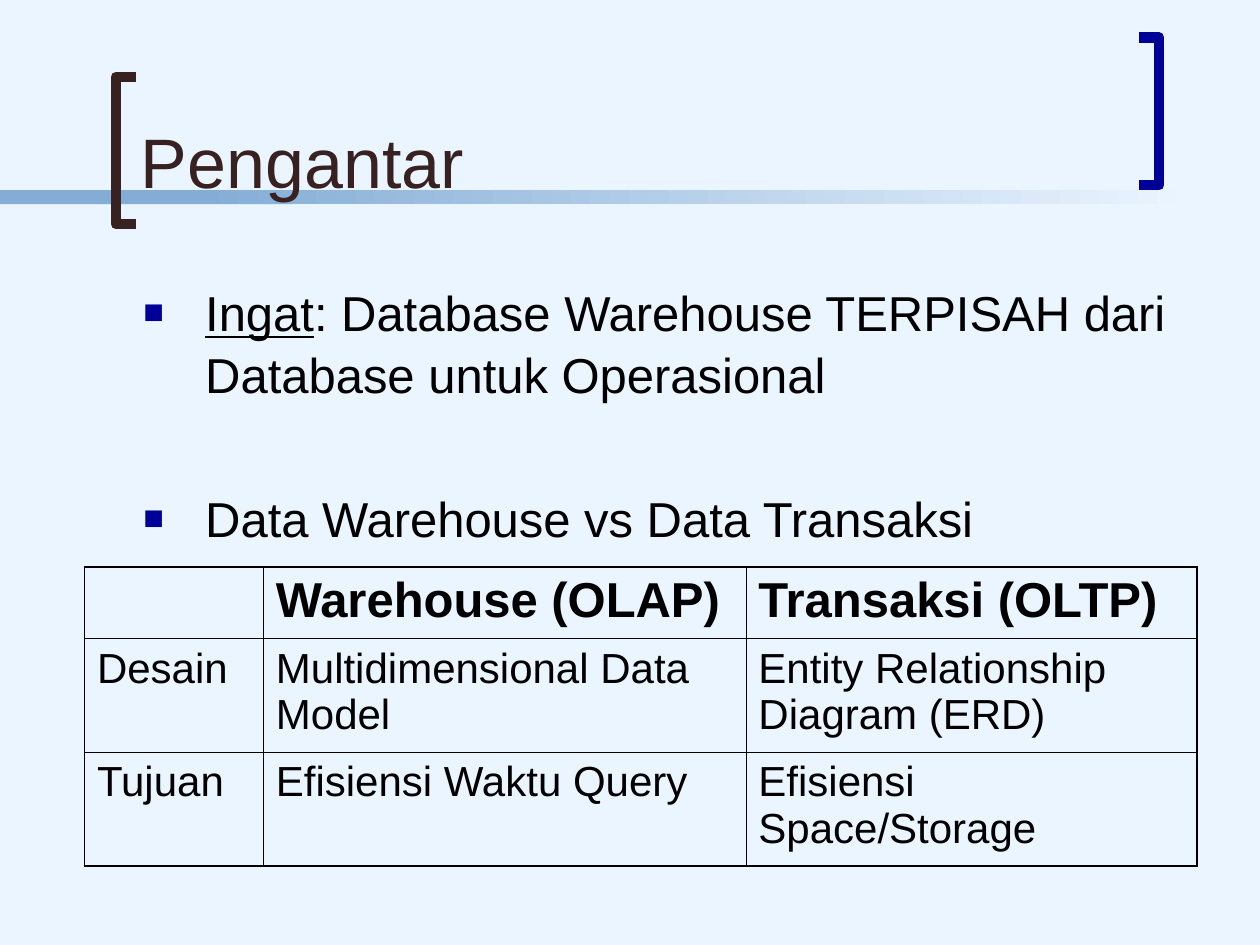
import dataclasses

import pptx
import pptx.dml.color
import pptx.enum.dml
import pptx.enum.shapes
import pptx.enum.text
import pptx.oxml
import pptx.oxml.ns
import pptx.util
from pptx.util import Inches

BACKGROUND = pptx.dml.color.RGBColor(0xEB, 0xF5, 0xFF)
BAND = pptx.dml.color.RGBColor(0x84, 0xAD, 0xD6)
BROWN = pptx.dml.color.RGBColor(0x37, 0x22, 0x21)
NAVY = pptx.dml.color.RGBColor(0x00, 0x00, 0x99)
BLACK = pptx.dml.color.RGBColor(0x00, 0x00, 0x00)
FONT = "Arial"
OUTER_BORDER = 1.08
INNER_BORDER = 0.45


@dataclasses.dataclass(frozen=True)
class Run:
    text: str
    size: float
    color: pptx.dml.color.RGBColor = BLACK
    bold: bool = False
    underline: bool = False


@dataclasses.dataclass(frozen=True)
class Bracket:
    tip: float
    spine: float
    top: float
    color: pptx.dml.color.RGBColor
    height: float = 1.17


@dataclasses.dataclass(frozen=True)
class Bullet:
    runs: tuple[Run, ...]
    space_before: float


BRACKETS = (
    Bracket(tip=1.08, spine=0.92, top=0.61, color=BROWN),
    Bracket(tip=9.04, spine=9.2, top=0.3, color=NAVY),
)
BULLETS = (
    Bullet(
        (
            Run("Ingat", 28, underline=True),
            Run(": Database Warehouse TERPISAH dari Database untuk Operasional", 28),
        ),
        space_before=7,
    ),
    Bullet((Run("Data Warehouse vs Data Transaksi", 28),), space_before=47),
)
TABLE_ROWS = (
    ("", "Warehouse (OLAP)", "Transaksi (OLTP)"),
    ("Desain", "Multidimensional Data Model", "Entity Relationship Diagram (ERD)"),
    ("Tujuan", "Efisiensi Waktu Query", "Efisiensi Space/Storage"),
)
COLUMN_WIDTHS = (1.42, 3.83, 3.58)
ROW_HEIGHTS = (0.57, 0.9, 0.9)


def add_run(paragraph, run: Run) -> None:
    text_run = paragraph.add_run()
    text_run.text = run.text
    font = text_run.font
    font.name = FONT
    font.size = pptx.util.Pt(run.size)
    font.color.rgb = run.color
    font.bold = run.bold
    font.underline = run.underline


def add_band(slide, left: float, width: float, fades: bool) -> None:
    shape = slide.shapes.add_shape(
        pptx.enum.shapes.MSO_SHAPE.RECTANGLE,
        Inches(left), Inches(1.51), Inches(width), Inches(0.11),
    )
    shape.shadow.inherit = False
    shape.line.fill.background()
    if fades:
        shape.fill.gradient()
        shape.fill.gradient_angle = 0
        for stop, color in zip(shape.fill.gradient_stops, (BAND, BACKGROUND)):
            stop.color.rgb = color
    else:
        shape.fill.solid()
        shape.fill.fore_color.rgb = BAND


def add_bracket(slide, bracket: Bracket) -> None:
    bottom = bracket.top + bracket.height
    builder = slide.shapes.build_freeform(
        Inches(bracket.tip), Inches(bracket.top), scale=1.0
    )
    corners = (
        (bracket.spine, bracket.top), (bracket.spine, bottom), (bracket.tip, bottom),
    )
    builder.add_line_segments([(Inches(x), Inches(y)) for x, y in corners], close=False)
    shape = builder.convert_to_shape()
    shape.shadow.inherit = False
    shape.fill.background()
    shape.line.color.rgb = bracket.color
    shape.line.width = pptx.util.Pt(6)


def add_text_frame(slide, left: float, top: float, width: float, height: float):
    text_box = slide.shapes.add_textbox(
        Inches(left), Inches(top), Inches(width), Inches(height)
    )
    text_box.text_frame.word_wrap = True
    return text_box.text_frame


def set_bullet(paragraph) -> None:
    """Give the paragraph a hanging square bullet."""
    properties = paragraph._p.get_or_add_pPr()
    properties.set("marL", str(Inches(0.49)))
    properties.set("indent", str(-Inches(0.49)))
    namespace = pptx.oxml.ns.nsdecls("a")
    for markup in (
        f'<a:buClr {namespace}><a:srgbClr val="{NAVY}"/></a:buClr>',
        f'<a:buSzPct {namespace} val="70000"/>',
        f'<a:buFont {namespace} typeface="{FONT}"/>',
        f'<a:buChar {namespace} char="■"/>',
    ):
        properties.append(pptx.oxml.parse_xml(markup))


def add_bullets(slide) -> None:
    frame = add_text_frame(slide, 1.04, 2.17, 8.38, 2.58)
    for index, bullet in enumerate(BULLETS):
        paragraph = frame.add_paragraph() if index else frame.paragraphs[0]
        paragraph.line_spacing = 1.05
        paragraph.space_before = pptx.util.Pt(bullet.space_before)
        set_bullet(paragraph)
        for run in bullet.runs:
            add_run(paragraph, run)


def set_borders(cell, row: int, column: int) -> None:
    """Draw thick borders on the table's edge and thin ones inside."""
    on_edge = {
        "lnL": column == 0,
        "lnR": column == len(COLUMN_WIDTHS) - 1,
        "lnT": row == 0,
        "lnB": row == len(ROW_HEIGHTS) - 1,
    }
    properties = cell._tc.get_or_add_tcPr()
    for position, (tag, outer) in enumerate(on_edge.items()):
        width = pptx.util.Pt(OUTER_BORDER if outer else INNER_BORDER)
        border = pptx.oxml.parse_xml(
            f'<a:{tag} {pptx.oxml.ns.nsdecls("a")} w="{width}"><a:solidFill>'
            f'<a:srgbClr val="{BLACK}"/></a:solidFill></a:{tag}>'
        )
        properties.insert(position, border)


def add_comparison_table(slide) -> None:
    table = slide.shapes.add_table(
        len(ROW_HEIGHTS), len(COLUMN_WIDTHS), Inches(0.67), Inches(4.5),
        Inches(sum(COLUMN_WIDTHS)), Inches(sum(ROW_HEIGHTS)),
    ).table
    table.first_row = False
    table.horz_banding = False
    for column, width in zip(table.columns, COLUMN_WIDTHS):
        column.width = Inches(width)
    for row_index, texts in enumerate(TABLE_ROWS):
        table.rows[row_index].height = Inches(ROW_HEIGHTS[row_index])
        header = row_index == 0
        for column_index, text in enumerate(texts):
            cell = table.cell(row_index, column_index)
            cell.fill.background()
            set_borders(cell, row_index, column_index)
            if text:
                paragraph = cell.text_frame.paragraphs[0]
                paragraph.space_before = pptx.util.Pt(7 if header else 6)
                add_run(paragraph, Run(text, 28 if header else 24, bold=header))


def main() -> None:
    presentation = pptx.Presentation()
    presentation.slide_width = Inches(10)
    presentation.slide_height = Inches(7.5)
    slide = presentation.slides.add_slide(presentation.slide_layouts[6])
    slide.background.fill.solid()
    slide.background.fill.fore_color.rgb = BACKGROUND

    add_band(slide, 0, 2.33, fades=False)
    add_band(slide, 1.58, 7.92, fades=True)
    for bracket in BRACKETS:
        add_bracket(slide, bracket)
    title = add_text_frame(slide, 1.02, 0.11, 7.83, 1.55)
    title.vertical_anchor = pptx.enum.text.MSO_ANCHOR.BOTTOM
    add_run(title.paragraphs[0], Run("Pengantar", 40, BROWN))
    add_bullets(slide)
    add_comparison_table(slide)
    presentation.save("out.pptx")


if __name__ == "__main__":
    main()
